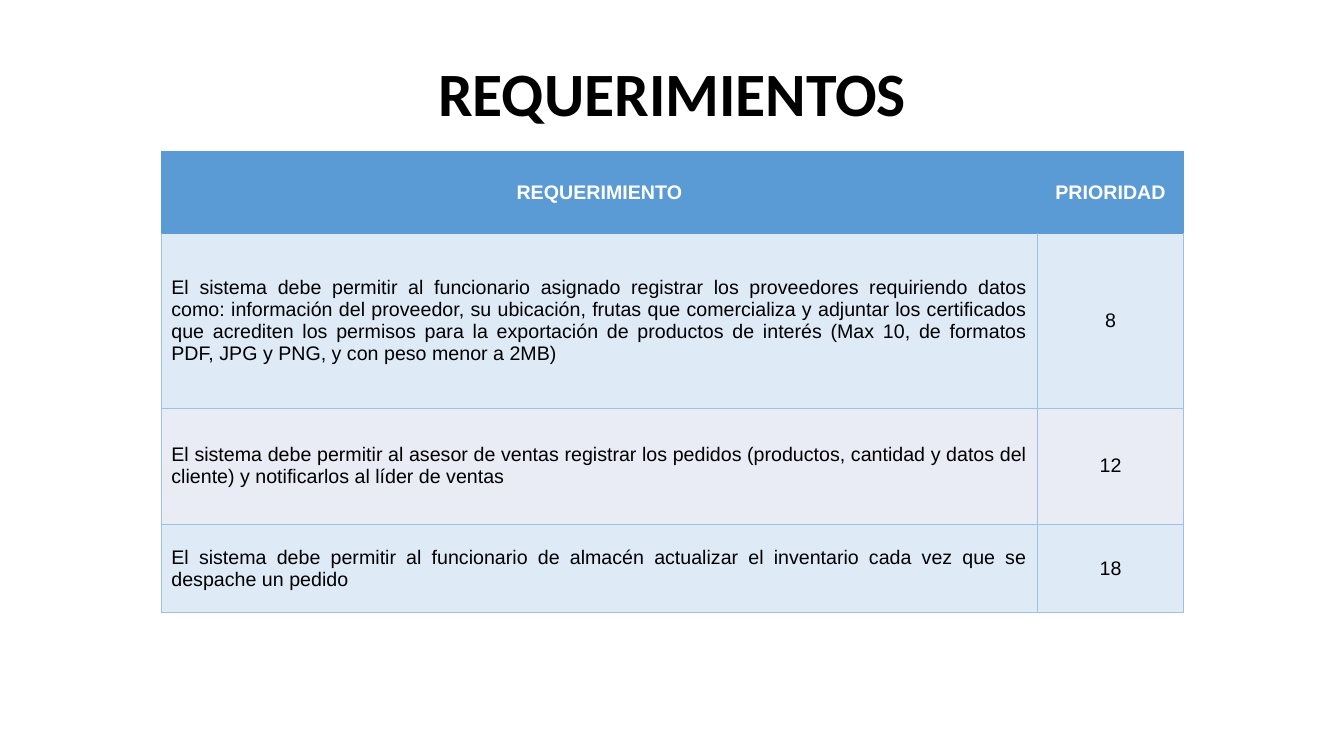
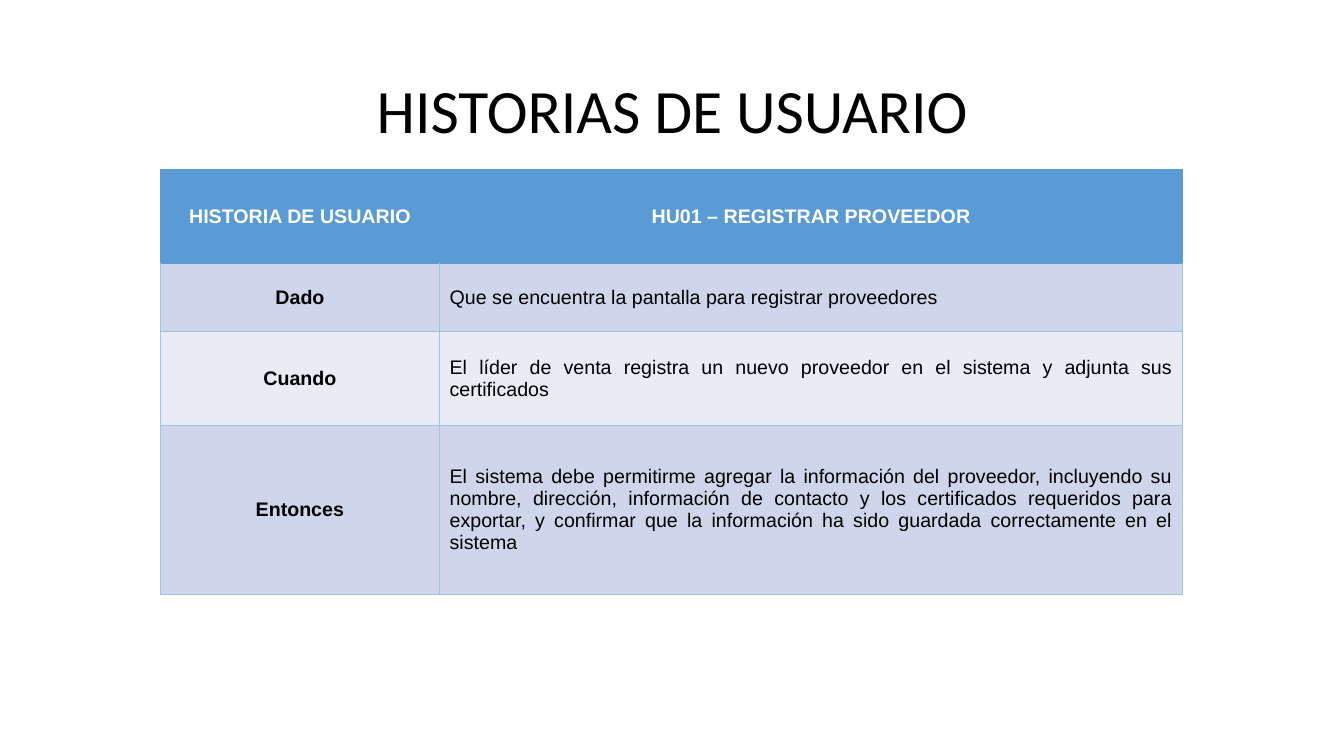
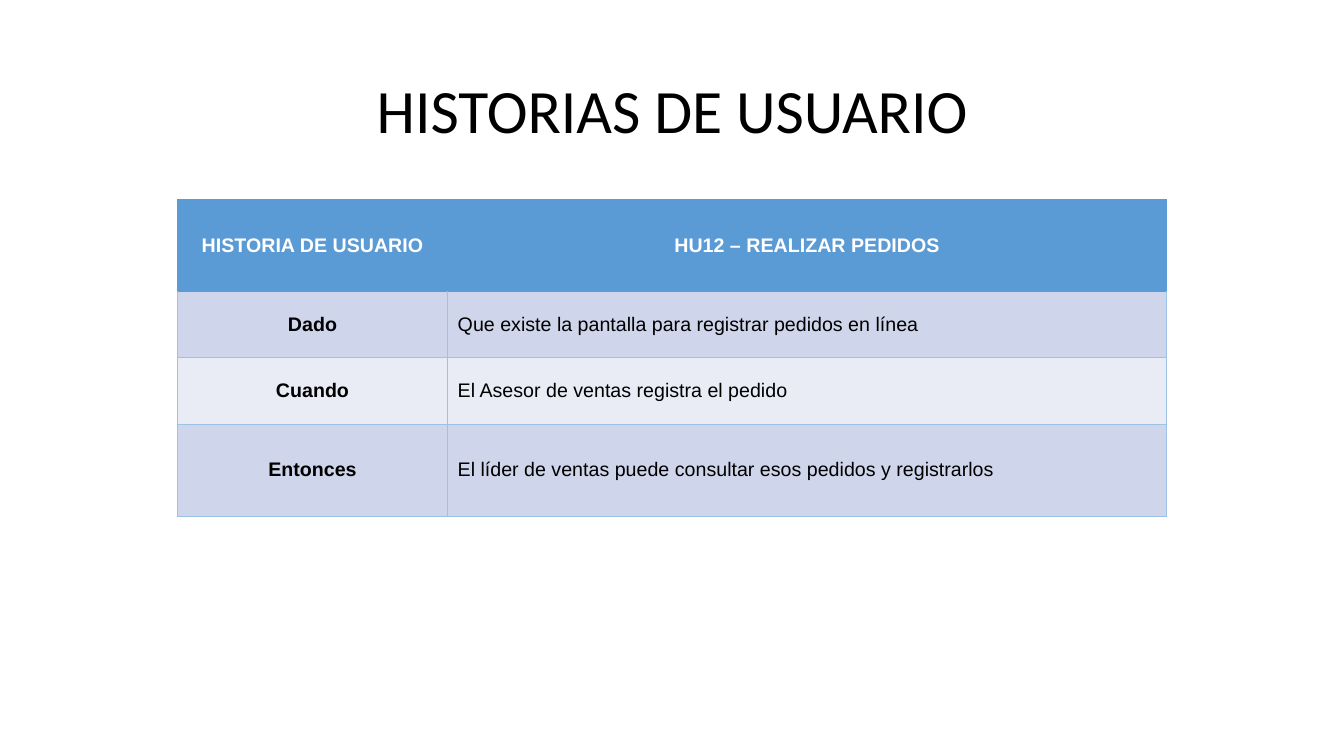
from dataclasses import dataclass

from lxml.etree import SubElement
from pptx import Presentation
from pptx.dml.color import RGBColor
from pptx.enum.text import MSO_ANCHOR, PP_ALIGN
from pptx.oxml.ns import qn
from pptx.util import Inches, Pt


@dataclass(frozen=True)
class Theme:
    title_font: str = "Calibri"
    table_font: str = "Arial"
    title_size: float = 44
    table_size: float = 14
    border_width: float = 0.75
    text: str = "000000"
    header_text: str = "FFFFFF"
    header: str = "5B9BD5"
    border: str = "9CC2E5"
    sky: str = "DEEAF6"
    lavender: str = "CFD5EA"
    pale: str = "E9EBF5"


@dataclass(frozen=True)
class Column:
    width: float
    align: PP_ALIGN
    bold: bool = False


THEME = Theme()


def add_run(paragraph, text, font, size, color, bold):
    run = paragraph.add_run()
    run.text = text
    run.font.name = font
    run.font.size = Pt(size)
    run.font.bold = bold
    run.font.color.rgb = RGBColor.from_string(color)


def add_title(slide, text, top, bold=False):
    title = slide.shapes.add_textbox(Inches(0.92), Inches(top), Inches(11.5), Inches(1.45))
    frame = title.text_frame
    frame.word_wrap = True
    frame.vertical_anchor = MSO_ANCHOR.MIDDLE
    paragraph = frame.paragraphs[0]
    paragraph.alignment = PP_ALIGN.CENTER
    paragraph.line_spacing = 0.9
    add_run(paragraph, text, THEME.title_font, THEME.title_size, THEME.text, bold)


def set_borders(cell, color, top_color):
    properties = cell._tc.get_or_add_tcPr()
    sides = {"a:lnL": color, "a:lnR": color, "a:lnT": top_color, "a:lnB": color}
    for position, (side, side_color) in enumerate(sides.items()):
        line = SubElement(properties, qn(side), w=str(Pt(THEME.border_width)))
        SubElement(SubElement(line, qn("a:solidFill")), qn("a:srgbClr"), val=side_color)
        properties.insert(position, line)


def fill_cell(cell, text, fill, color, align, bold):
    cell.fill.solid()
    cell.fill.fore_color.rgb = RGBColor.from_string(fill)
    cell.vertical_anchor = MSO_ANCHOR.MIDDLE
    paragraph = cell.text_frame.paragraphs[0]
    paragraph.alignment = align
    add_run(paragraph, text, THEME.table_font, THEME.table_size, color, bold)


def add_banded_table(slide, left, top, columns, heights, rows, band):
    width = sum(column.width for column in columns)
    table = slide.shapes.add_table(
        len(rows), len(columns), Inches(left), Inches(top), Inches(width), Inches(sum(heights))
    ).table
    table.horz_banding = False
    for index, column in enumerate(columns):
        table.columns[index].width = Inches(column.width)
    for row_index, (height, texts) in enumerate(zip(heights, rows)):
        table.rows[row_index].height = Inches(height)
        row_fill = band if row_index % 2 else THEME.pale
        for column_index, (column, text) in enumerate(zip(columns, texts)):
            cell = table.cell(row_index, column_index)
            if row_index == 0:
                fill_cell(cell, text, THEME.header, THEME.header_text, PP_ALIGN.CENTER, True)
                set_borders(cell, THEME.header, THEME.header)
            else:
                fill_cell(cell, text, row_fill, THEME.text, column.align, column.bold)
                set_borders(cell, THEME.border, THEME.header if row_index == 1 else THEME.border)


def add_requirements(slide):
    add_title(slide, "REQUERIMIENTOS", 0.23, bold=True)
    columns = [Column(8.69, PP_ALIGN.JUSTIFY), Column(1.45, PP_ALIGN.CENTER)]
    rows = [
        ("REQUERIMIENTO", "PRIORIDAD"),
        (
            "El sistema debe permitir al funcionario asignado registrar los proveedores "
            "requiriendo datos como: información del proveedor, su ubicación, frutas que "
            "comercializa y adjuntar los certificados que acrediten los permisos para la "
            "exportación de productos de interés (Max 10, de formatos PDF, JPG y PNG, y con "
            "peso menor a 2MB)",
            "8",
        ),
        (
            "El sistema debe permitir al asesor de ventas registrar los pedidos (productos, "
            "cantidad y datos del cliente) y notificarlos al líder de ventas",
            "12",
        ),
        (
            "El sistema debe permitir al funcionario de almacén actualizar el inventario cada "
            "vez que se despache un pedido",
            "18",
        ),
    ]
    add_banded_table(slide, 1.6, 1.5, columns, [0.82, 1.73, 1.15, 0.88], rows, THEME.sky)


def add_user_story(slide, story, given, when, then, left, top, widths, heights):
    add_title(slide, "HISTORIAS DE USUARIO", 0.4)
    label_width, detail_width = widths
    columns = [
        Column(label_width, PP_ALIGN.CENTER, bold=True),
        Column(detail_width, PP_ALIGN.JUSTIFY),
    ]
    rows = [
        ("HISTORIA DE USUARIO", story),
        ("Dado", given),
        ("Cuando", when),
        ("Entonces", then),
    ]
    add_banded_table(slide, left, top, columns, heights, rows, THEME.lavender)


def main():
    deck = Presentation()
    deck.slide_width = Inches(13.33)
    deck.slide_height = Inches(7.5)
    blank = deck.slide_layouts[6]

    add_requirements(deck.slides.add_slide(blank))
    add_user_story(
        deck.slides.add_slide(blank),
        story="HU01 – REGISTRAR PROVEEDOR",
        given="Que se encuentra la pantalla para registrar proveedores",
        when="El líder de venta registra un nuevo proveedor en el sistema y adjunta sus certificados",
        then=(
            "El sistema debe permitirme agregar la información del proveedor, incluyendo su "
            "nombre, dirección, información de contacto y los certificados requeridos para "
            "exportar, y confirmar que la información ha sido guardada correctamente en el "
            "sistema"
        ),
        left=1.59,
        top=1.68,
        widths=(2.77, 7.37),
        heights=[0.93, 0.68, 0.93, 1.68],
    )
    add_user_story(
        deck.slides.add_slide(blank),
        story="HU12 – REALIZAR PEDIDOS",
        given="Que existe la pantalla para registrar pedidos en línea",
        when="El Asesor de ventas registra el pedido",
        then="El líder de ventas puede consultar esos pedidos y registrarlos",
        left=1.76,
        top=1.98,
        widths=(2.68, 7.13),
        heights=[0.91, 0.66, 0.66, 0.91],
    )
    deck.save("out.pptx")


if __name__ == "__main__":
    main()
